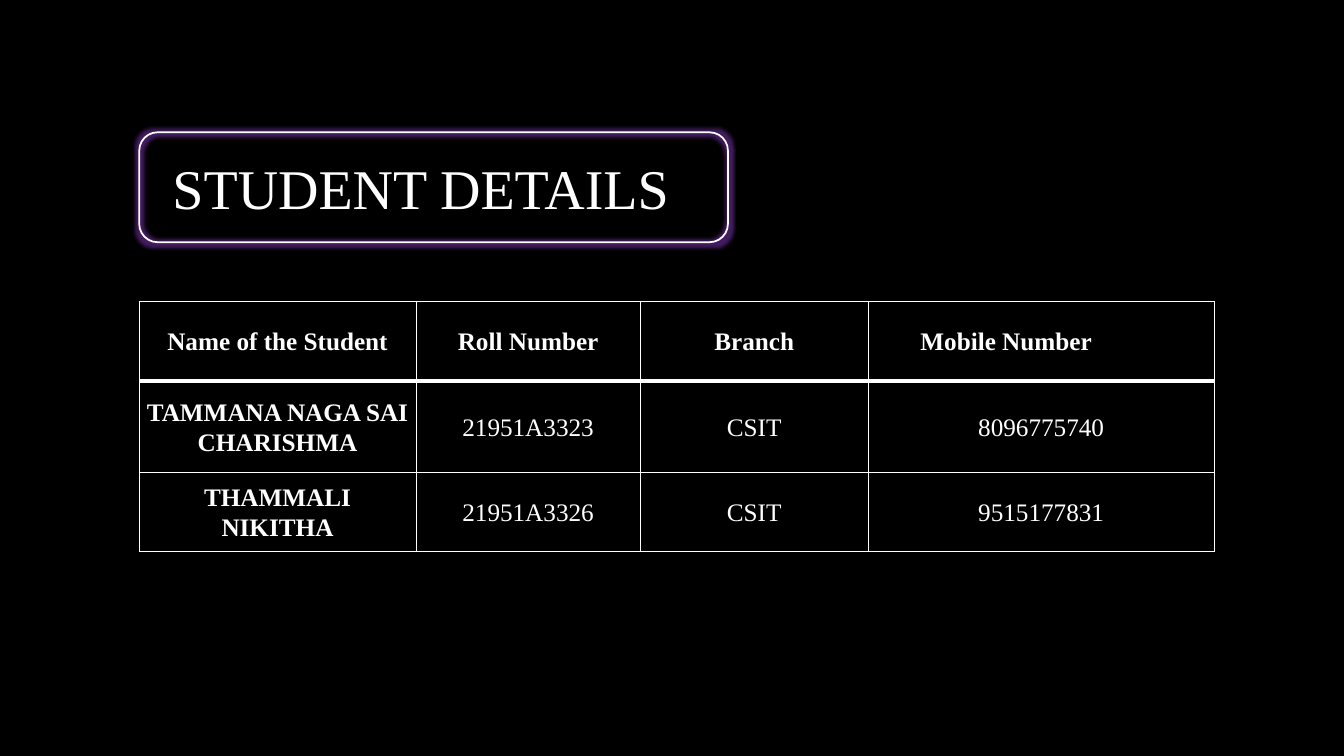
import lxml.etree
import pptx
import pptx.dml.color
import pptx.enum.shapes
import pptx.enum.text
import pptx.oxml.ns
import pptx.util

Pt = pptx.util.Pt
RGBColor = pptx.dml.color.RGBColor
PP_ALIGN = pptx.enum.text.PP_ALIGN
ANCHOR = pptx.enum.text.MSO_ANCHOR
qn = pptx.oxml.ns.qn

COLORS = {"background": "000000", "text": "FFFFFF", "line": "FFFFFF", "glow": "7030A0"}
FONT = "Times New Roman"
COLUMN_WIDTHS = [198, 160, 163, 247]
ROW_HEIGHTS = [57, 65, 57]
STUDENTS = [
    ["Name of the Student", "Roll Number", "Branch", "Mobile Number"],
    ["TAMMANA NAGA SAI CHARISHMA", "21951A3323", "CSIT", "8096775740"],
    ["THAMMALI NIKITHA", "21951A3326", "CSIT", "9515177831"],
]


def write_text(frame, text, size=18, bold=False, align=PP_ALIGN.CENTER, spacing=1.0):
    para = frame.paragraphs[0]
    para.alignment = align
    para.line_spacing = spacing
    span = para.add_run()
    span.text = text
    span.font.name = FONT
    span.font.size = Pt(size)
    span.font.bold = bold
    span.font.color.rgb = RGBColor.from_string(COLORS["text"])


def add_color(parent, color):
    return lxml.etree.SubElement(parent, qn("a:srgbClr"), val=color)


deck = pptx.Presentation()
deck.slide_width = Pt(960)
deck.slide_height = Pt(540)
page = deck.slides.add_slide(deck.slide_layouts.get_by_name("Title Only"))
page.background.fill.solid()
page.background.fill.fore_color.rgb = RGBColor.from_string(COLORS["background"])

# Student table
table = page.shapes.add_table(
    len(ROW_HEIGHTS), len(COLUMN_WIDTHS), Pt(99.5), Pt(215.25),
    Pt(sum(COLUMN_WIDTHS)), Pt(sum(ROW_HEIGHTS))).table
table.horz_banding = False
for column, width in zip(table.columns, COLUMN_WIDTHS):
    column.width = Pt(width)
for row, height in zip(table.rows, ROW_HEIGHTS):
    row.height = Pt(height)

for row_index, student in enumerate(STUDENTS):
    for column_index, text in enumerate(student):
        cell = table.cell(row_index, column_index)
        is_header = row_index == 0
        is_mobile_header = is_header and column_index == 3
        cell.margin_left = Pt(37 if is_mobile_header else 5)
        cell.margin_right = Pt(5.5)
        cell.margin_top = cell.margin_bottom = Pt(0)
        cell.vertical_anchor = ANCHOR.MIDDLE
        write_text(cell.text_frame, text, bold=is_header or column_index == 0, spacing=1.07,
                   align=PP_ALIGN.LEFT if is_mobile_header else PP_ALIGN.CENTER)
        for side in ("L", "R", "T", "B"):
            under_header = (row_index, side) in ((0, "B"), (1, "T"))
            border = lxml.etree.SubElement(
                cell._tc.get_or_add_tcPr(), qn(f"a:ln{side}"), w=str(Pt(3 if under_header else 1)))
            add_color(lxml.etree.SubElement(border, qn("a:solidFill")), COLORS["line"])
        cell.fill.solid()
        cell.fill.fore_color.rgb = RGBColor.from_string(COLORS["background"])

# Title
title = page.shapes.title
title.left, title.top, title.width, title.height = Pt(116), Pt(106), Pt(389.5), Pt(55.5)
title.text_frame.word_wrap = True
title.text_frame.vertical_anchor = ANCHOR.TOP
write_text(title.text_frame, "STUDENT DETAILS", size=40, align=PP_ALIGN.LEFT)

# Glowing title frame
title_frame = page.shapes.add_shape(
    pptx.enum.shapes.MSO_SHAPE.ROUNDED_RECTANGLE, Pt(99.5), Pt(94.5), Pt(420.5), Pt(78.5))
title_frame.fill.background()
title_frame.line.color.rgb = RGBColor.from_string(COLORS["line"])
title_frame.line.width = Pt(1.25)
title_frame.shadow.inherit = False
effects = title_frame._element.spPr.find(qn("a:effectLst"))
glow = lxml.etree.SubElement(effects, qn("a:glow"), rad=str(Pt(5)))
lxml.etree.SubElement(add_color(glow, COLORS["glow"]), qn("a:alpha"), val="60000")

deck.save("out.pptx")
